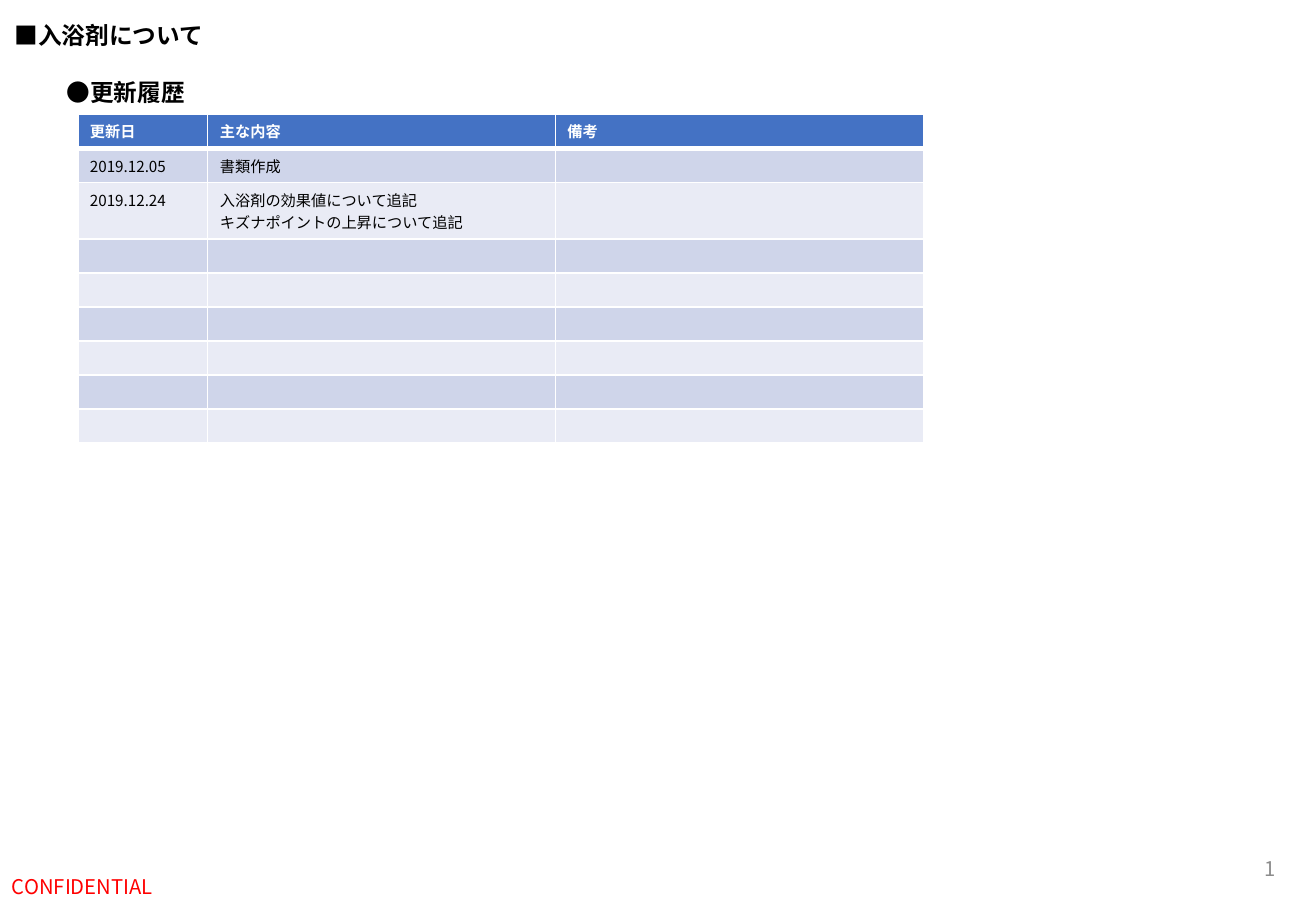
from dataclasses import dataclass

from lxml.etree import SubElement
from pptx import Presentation
from pptx.dml.color import RGBColor
from pptx.enum.text import MSO_ANCHOR, MSO_AUTO_SIZE, PP_ALIGN
from pptx.oxml.ns import qn
from pptx.util import Inches, Pt


@dataclass(frozen=True)
class Theme:
    font: str = "Noto Sans CJK JP"
    black: str = "000000"
    white: str = "FFFFFF"
    red: str = "FF0000"
    gray: str = "8C8C8C"
    header: str = "4472C4"
    bands: tuple = ("CFD5EA", "E9EBF5")
    heading_size: int = 14
    footer_size: int = 12
    cell_size: int = 9


theme = Theme()


def add_run(p, text, size, color, bold=False):
    r = p.add_run()
    r.text = text
    r.font.size = Pt(size)
    r.font.bold = bold
    r.font.name = theme.font
    r.font.color.rgb = RGBColor.from_string(color)
    SubElement(r.font._element, qn("a:ea"), typeface=theme.font)


def add_border(cell, side, width):
    ln = SubElement(cell._tc.get_or_add_tcPr(), qn(f"a:ln{side}"), w=str(Pt(width)))
    fill = SubElement(ln, qn("a:solidFill"))
    SubElement(fill, qn("a:srgbClr"), val=theme.white)


prs = Presentation()
prs.slide_width = Inches(10.83)
prs.slide_height = Inches(7.5)
s = prs.slides.add_slide(prs.slide_layouts[6])

history = [
    ("更新日", "主な内容", "備考"),
    ("2019.12.05", "書類作成", ""),
    ("2019.12.24", "入浴剤の効果値について追記\nキズナポイントの上昇について追記", ""),
] + [("", "", "")] * 6
col_widths = [1.07, 2.86, 3.03]
row_heights = [0.46 if any("\n" in text for text in row) else 0.28 for row in history]

table = s.shapes.add_table(
    len(history), len(col_widths), Inches(0.64), Inches(0.94),
    Inches(sum(col_widths)), Inches(sum(row_heights)),
).table
for col, width in zip(table.columns, col_widths):
    col.width = Inches(width)

for i, row in enumerate(history):
    table.rows[i].height = Inches(row_heights[i])
    is_header = i == 0
    fill_color = theme.header if is_header else theme.bands[(i - 1) % 2]
    text_color = theme.white if is_header else theme.black
    for j, text in enumerate(row):
        cell = table.cell(i, j)
        for side in "LRTB":
            thick = (i, side) in [(0, "B"), (1, "T")]
            add_border(cell, side, 3 if thick else 1)
        cell.fill.solid()
        cell.fill.fore_color.rgb = RGBColor.from_string(fill_color)
        tf = cell.text_frame
        for n, line in enumerate(text.split("\n")):
            p = tf.add_paragraph() if n else tf.paragraphs[0]
            if line:
                add_run(p, line, theme.cell_size, text_color, is_header)
            else:
                SubElement(p._p, qn("a:endParaRPr"), sz=str(theme.cell_size * 100))

headings = [
    ("■入浴剤について", 0.02, 0.12, 1.77),
    ("●更新履歴", 0.45, 0.59, 1.18),
]
for text, left, top, width in headings:
    sp = s.shapes.add_textbox(Inches(left), Inches(top), Inches(width), Inches(0.34))
    tf = sp.text_frame
    tf.word_wrap = False
    tf.auto_size = MSO_AUTO_SIZE.SHAPE_TO_FIT_TEXT
    add_run(tf.paragraphs[0], text, theme.heading_size, theme.black, True)

footers = [
    ("1", 8.16, 6.95, 2.44, PP_ALIGN.RIGHT, theme.gray),
    ("CONFIDENTIAL", 0, 7.1, 3.38, PP_ALIGN.LEFT, theme.red),
]
for text, left, top, width, align, color in footers:
    sp = s.shapes.add_textbox(Inches(left), Inches(top), Inches(width), Inches(0.4))
    tf = sp.text_frame
    tf.word_wrap = True
    tf.vertical_anchor = MSO_ANCHOR.MIDDLE
    p = tf.paragraphs[0]
    p.alignment = align
    add_run(p, text, theme.footer_size, color)

prs.save("out.pptx")
